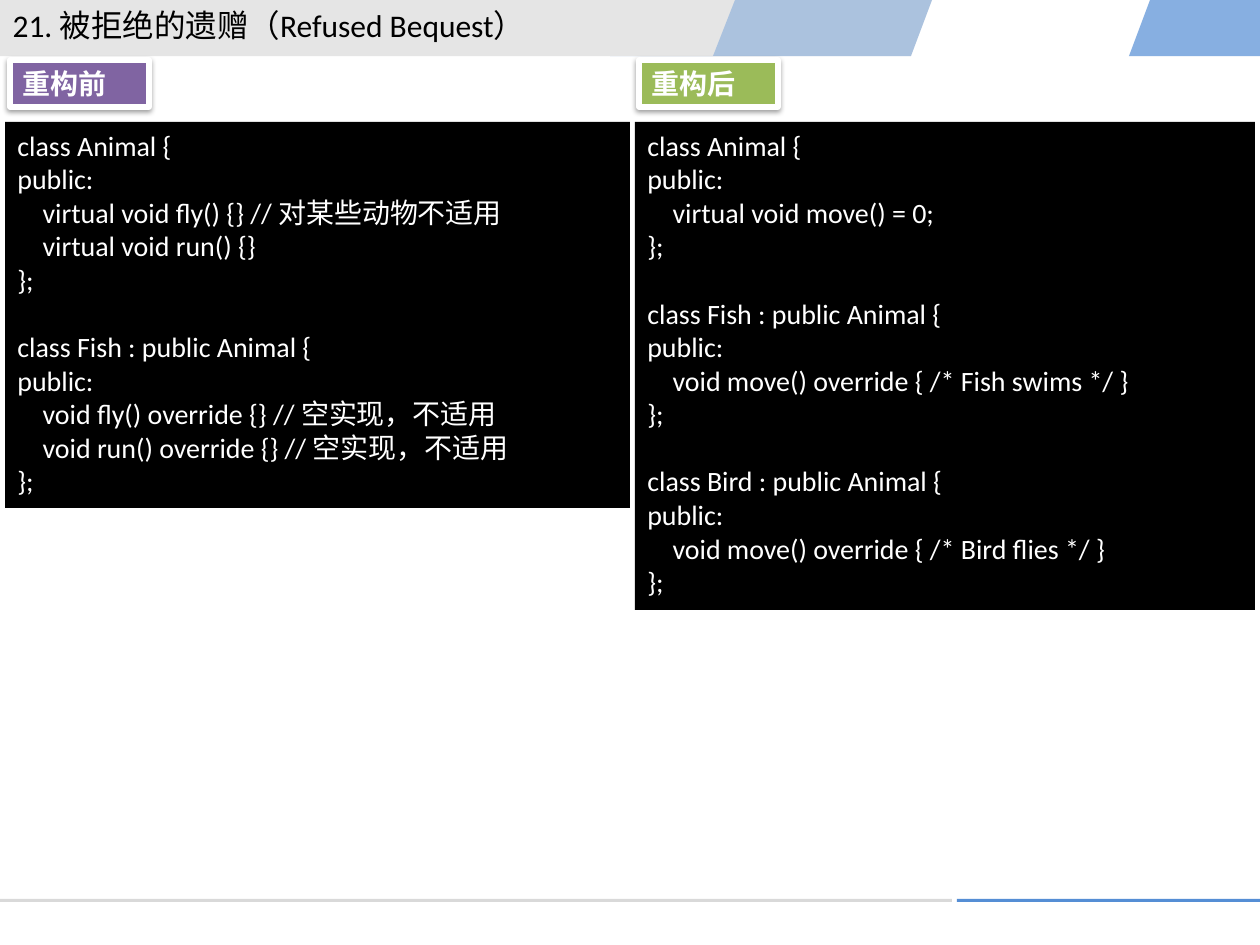
from dataclasses import dataclass

from lxml import etree
from pptx import Presentation
from pptx.dml.color import RGBColor
from pptx.enum import shapes, text
from pptx.oxml import ns
from pptx.util import Pt

PX = 914400 / 126  # EMU per px
SLIDE_WIDTH, SLIDE_HEIGHT = 1260, 945


@dataclass(frozen=True)
class Theme:
    font: str = "Calibri"
    black: str = "000000"
    white: str = "FFFFFF"
    grey: str = "BFBFBF"
    rule_grey: str = "D9D9D9"
    blue: str = "558ED5"
    before: str = "8064A2"
    after: str = "9BBB59"
    title_size: int = 18
    text_size: int = 16
    label_line: int = 3


THEME = Theme()

HEADER_BANDS = [
    # points, colour, opacity in percent
    ([(1150, 0), (1260, 0), (1260, 56), (1129, 56)], THEME.blue, 70),
    ([(0, 0), (932, 0), (911, 56), (0, 56)], THEME.grey, 40),
    ([(735, 0), (932, 0), (911, 56), (610, 56), (713, 56)], THEME.blue, 40),
]

CODE_BEFORE = """class Animal {
public:
    virtual void fly() {} // 对某些动物不适用
    virtual void run() {}
};

class Fish : public Animal {
public:
    void fly() override {} // 空实现，不适用
    void run() override {} // 空实现，不适用
};"""

CODE_AFTER = """class Animal {
public:
    virtual void move() = 0;
};

class Fish : public Animal {
public:
    void move() override { /* Fish swims */ }
};

class Bird : public Animal {
public:
    void move() override { /* Bird flies */ }
};"""


def px(*lengths):
    return [round(length * PX) for length in lengths]


def add_child(parent, tag, **attributes):
    child = etree.SubElement(parent, ns.qn(tag))
    for name, value in attributes.items():
        child.set(name, str(value))
    return child


def paint(shape, colour):
    shape.shadow.inherit = False
    shape.fill.solid()
    shape.fill.fore_color.rgb = RGBColor.from_string(colour)
    shape.line.fill.background()


def add_band(slide, points, colour, opacity):
    """Draw a slanted, see-through part of the header."""
    builder = slide.shapes.build_freeform(*points[0], scale=PX)
    builder.add_line_segments(points[1:], close=True)
    band = builder.convert_to_shape()
    paint(band, colour)
    colour_element = band.fill._xPr.find(ns.qn("a:solidFill"))[0]
    add_child(colour_element, "a:alpha", val=opacity * 1000)


def add_box(slide, box, colour):
    shape = slide.shapes.add_shape(shapes.MSO_SHAPE.RECTANGLE, *px(*box))
    paint(shape, colour)
    return shape


def write(shape, content, size, colour, bold=False,
          anchor=text.MSO_ANCHOR.TOP):
    """Fill a shape with left-aligned text, one paragraph a line."""
    frame = shape.text_frame
    frame.word_wrap = True
    frame.auto_size = text.MSO_AUTO_SIZE.NONE
    frame.vertical_anchor = anchor
    for index, line in enumerate(content.split("\n")):
        paragraph = frame.add_paragraph() if index else frame.paragraphs[0]
        paragraph.alignment = text.PP_ALIGN.LEFT
        paragraph.font.size = Pt(size)
        if not line:
            continue
        run = paragraph.add_run()
        run.text = line
        run.font.name = THEME.font
        run.font.size = Pt(size)
        run.font.bold = bold
        run.font.color.rgb = RGBColor.from_string(colour)


def add_shadow(shape):
    effects = shape._element.spPr.find(ns.qn("a:effectLst"))
    shadow = add_child(effects, "a:outerShdw", blurRad=Pt(3.1), dist=Pt(1.6),
                       dir=90 * 60000, rotWithShape=0)
    colour = add_child(shadow, "a:srgbClr", val=THEME.black)
    add_child(colour, "a:alpha", val=38000)


def add_title(slide, content):
    title = slide.shapes.title
    title.left, title.top, title.width, title.height = px(0, 0, 689, 51)
    write(title, content, THEME.title_size, THEME.black)
    # Bring the title in front of the header bands
    title._element.getparent().append(title._element)


def add_code(slide, left, width, height, code):
    panel = add_box(slide, (left, 122, width, height), THEME.black)
    write(panel, code, THEME.text_size, THEME.white)


def add_label(slide, left, content, colour):
    label = add_box(slide, (left, 60, 139, 47), colour)
    label.line.color.rgb = RGBColor.from_string(THEME.white)
    label.line.width = Pt(THEME.label_line)
    add_shadow(label)
    write(label, content, THEME.text_size, THEME.white, bold=True,
          anchor=text.MSO_ANCHOR.MIDDLE)


def main():
    presentation = Presentation()
    presentation.slide_width, presentation.slide_height = px(
        SLIDE_WIDTH, SLIDE_HEIGHT)
    slide = presentation.slides.add_slide(presentation.slide_layouts[5])

    for points, colour, opacity in HEADER_BANDS:
        add_band(slide, points, colour, opacity)
    add_box(slide, (0, 899, 952, 3), THEME.rule_grey)
    add_box(slide, (957, 899, 303, 3), THEME.blue)

    add_title(slide, "21. 被拒绝的遗赠（Refused Bequest）")
    add_code(slide, 5, 625, 386, CODE_BEFORE)
    add_code(slide, 635, 620, 488, CODE_AFTER)
    add_label(slide, 10, "重构前", THEME.before)
    add_label(slide, 639, "重构后", THEME.after)

    presentation.save("out.pptx")


if __name__ == "__main__":
    main()
